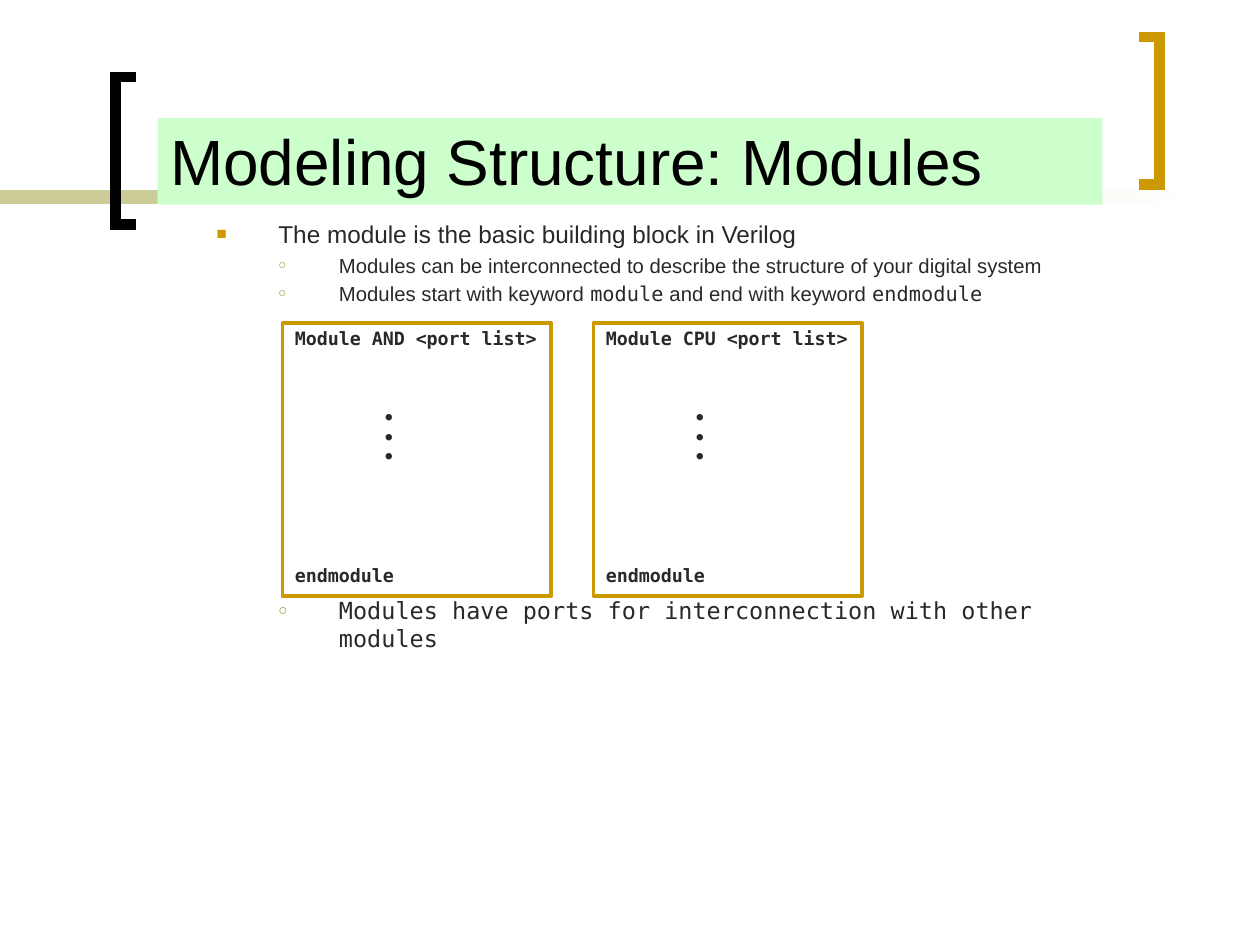
from lxml.etree import SubElement
from pptx import Presentation
from pptx.dml.color import RGBColor
from pptx.enum.shapes import MSO_SHAPE
from pptx.enum.text import MSO_ANCHOR, MSO_AUTO_SIZE, PP_ALIGN
from pptx.oxml.ns import qn
from pptx.util import Pt

COLORS = {
    "ink": "292929",
    "black": "000000",
    "gold": "CC9900",
    "olive": "999933",
    "sand": "CCCC99",
    "mint": "CCFFCC",
    "white": "FFFFFF",
}
SANS, MONO = "Arial", "DejaVu Sans Mono"
BULLETS = [("■", "gold", 70, 35.3, -35.3), ("○", "olive", 65, 69.9, -34.6)]


def rgb(name):
    return RGBColor.from_string(COLORS[name])


class SlideBuilder:
    def __init__(self, slide):
        self.slide = slide

    def style(self, font, size, face=SANS, color="ink", bold=False):
        font.size, font.name, font.bold = Pt(size), face, bold
        font.color.rgb = rgb(color)

    def place(self, shape, left, top, width, height):
        shape.left, shape.top = Pt(left), Pt(top)
        shape.width, shape.height = Pt(width), Pt(height)
        shape.element.getparent().append(shape.element)
        shape.text_frame.auto_size = MSO_AUTO_SIZE.NONE

    def rectangle(self, left, top, width, height):
        shape = self.slide.shapes.add_shape(
            MSO_SHAPE.RECTANGLE, Pt(left), Pt(top), Pt(width), Pt(height))
        shape.shadow.inherit = False
        return shape

    def bar(self, left, width, start, end):
        bar = self.rectangle(left, 108.7, width, 8)
        bar.line.fill.background()
        bar.fill.gradient()
        bar.fill.gradient_angle = 0
        for stop, color in zip(bar.fill.gradient_stops, (start, end)):
            stop.color.rgb = rgb(color)

    def bracket(self, tip, spine, top, color):
        bottom = top + 84.2
        outline = self.slide.shapes.build_freeform(Pt(tip), Pt(top))
        outline.add_line_segments(
            [(Pt(x), Pt(y)) for x, y in ((spine, top), (spine, bottom), (tip, bottom))],
            close=False)
        bracket = outline.convert_to_shape()
        bracket.shadow.inherit = False
        bracket.fill.background()
        bracket.line.color.rgb = rgb(color)
        bracket.line.width = Pt(6)
        SubElement(bracket.line._get_or_add_ln(), qn("a:miter"), lim="800000")

    def title(self, text, *box):
        title = self.slide.shapes.title
        self.place(title, *box)
        title.fill.solid()
        title.fill.fore_color.rgb = rgb("mint")
        frame = title.text_frame
        frame.text = text
        frame.vertical_anchor = MSO_ANCHOR.BOTTOM
        frame.paragraphs[0].alignment = PP_ALIGN.LEFT
        self.style(frame.paragraphs[0].runs[0].font, 36.5, color="black")

    def bullet(self, paragraph, level):
        char, color, percent, margin, indent = BULLETS[level]
        properties = paragraph._p.get_or_add_pPr()
        properties.set("marL", str(Pt(margin)))
        properties.set("indent", str(Pt(indent)))
        holder = SubElement(properties, qn("a:buClr"))
        SubElement(holder, qn("a:srgbClr"), val=COLORS[color])
        SubElement(properties, qn("a:buSzPct"), val=str(percent * 1000))
        SubElement(properties, qn("a:buFont"), typeface=SANS)
        SubElement(properties, qn("a:buChar"), char=char)

    def outline(self, items, *box):
        body = self.slide.placeholders[1]
        self.place(body, *box)
        frame = body.text_frame
        for index, (level, size, space, pieces) in enumerate(items):
            paragraph = frame.paragraphs[0] if index == 0 else frame.add_paragraph()
            paragraph.level = level
            self.bullet(paragraph, level)
            paragraph.space_before = Pt(space)
            for text, face in pieces:
                run = paragraph.add_run()
                run.text = text
                self.style(run.font, size, face)

    def module(self, name, left):
        module = self.rectangle(left, 184.5, 153.4, 156.2)
        module.fill.background()
        module.line.color.rgb = rgb("gold")
        module.line.width = Pt(2)
        frame = module.text_frame
        frame.word_wrap = True
        frame.vertical_anchor = MSO_ANCHOR.TOP
        pitch = 11.3
        frame.text = "\n".join([f"Module {name} <port list>", "•", "•", "•", "endmodule"])
        for paragraph, skipped in zip(frame.paragraphs, (0, 3, 0, 0, 5)):
            paragraph.alignment = PP_ALIGN.LEFT
            paragraph.line_spacing = Pt(pitch)
            paragraph.space_before = Pt(skipped * pitch)
            if paragraph.text == "•":
                paragraph._p.get_or_add_pPr().set("marL", str(Pt(50.5)))
            self.style(paragraph.runs[0].font, 10.5, MONO, bold=True)


def main():
    presentation = Presentation()
    presentation.slide_width, presentation.slide_height = Pt(720), Pt(540)
    builder = SlideBuilder(presentation.slides.add_slide(presentation.slide_layouts[1]))

    builder.bar(0, 168, "sand", "sand")
    builder.bar(114, 570, "sand", "white")
    builder.bracket(78, 66, 44, "black")
    builder.bracket(651, 662.5, 21.3, "gold")
    builder.title("Modeling Structure: Modules", 90, 67.5, 540, 49.5)
    builder.outline([
        (0, 13.9, 0, [("The module is the basic building block in Verilog", SANS)]),
        (1, 11.6, 2.3, [("Modules can be interconnected to describe the structure"
                         " of your digital system", SANS)]),
        (1, 11.6, 2.3, [("Modules start with keyword ", SANS), ("module", MONO),
                        (" and end with keyword ", SANS), ("endmodule", MONO)]),
        (1, 13.4, 166, [("Modules have ports for interconnection with other modules", MONO)]),
    ], 116.6, 121.9, 495.4, 248.4)
    for name, left in (("AND", 161.5), ("CPU", 339.2)):
        builder.module(name, left)

    presentation.save("out.pptx")


if __name__ == "__main__":
    main()
